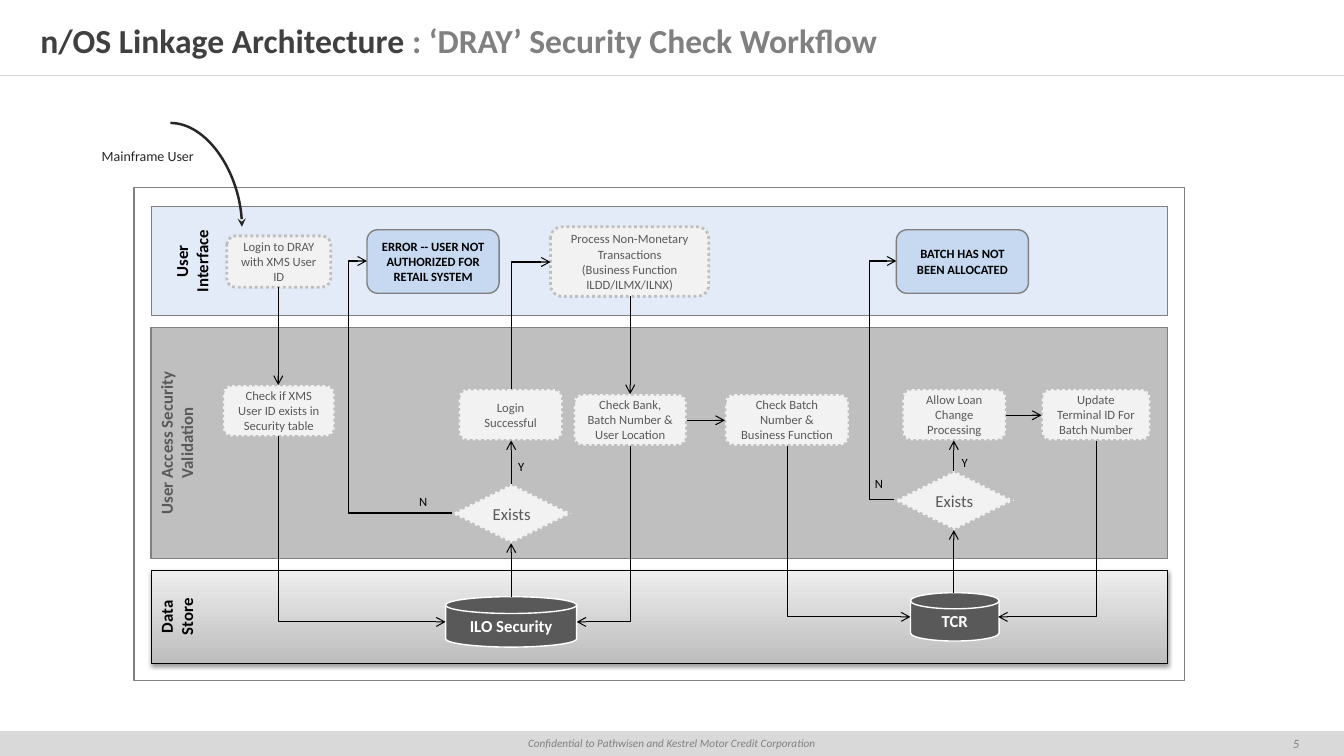
"""Builds the security check workflow slide: three swimlanes, steps, stores and arrows."""
from lxml import etree
from pptx import Presentation
from pptx.dml.color import RGBColor
from pptx.enum.dml import MSO_LINE
from pptx.enum.shapes import MSO_CONNECTOR, MSO_SHAPE
from pptx.enum.text import MSO_ANCHOR, PP_ALIGN
from pptx.oxml.ns import qn
from pptx.util import Inches, Pt

RECT, ROUNDED = MSO_SHAPE.RECTANGLE, MSO_SHAPE.ROUNDED_RECTANGLE
DECISION, DISK = MSO_SHAPE.FLOWCHART_DECISION, MSO_SHAPE.FLOWCHART_MAGNETIC_DISK
STRAIGHT, ELBOW, CURVE = MSO_CONNECTOR.STRAIGHT, MSO_CONNECTOR.ELBOW, MSO_CONNECTOR.CURVE
TOP, MIDDLE = MSO_ANCHOR.TOP, MSO_ANCHOR.MIDDLE
LEFT, CENTER = PP_ALIGN.LEFT, PP_ALIGN.CENTER
DOTTED = MSO_LINE.ROUND_DOT
FONT = "Calibri"
COLORS = {name: RGBColor.from_string(value) for name, value in {
    "black": "000000", "ink": "262626", "title": "404040", "dark": "595959",
    "gray": "808080", "lane": "BFBFBF", "rule": "D9D9D9", "step": "F2F2F2",
    "white": "FFFFFF", "blue": "C6D9F1", "store_low": "BDBDBD", "store_high": "EEEEEE",
}.items()}

prs = Presentation()
prs.slide_width, prs.slide_height = Inches(13.33), Inches(7.5)
slide = prs.slides.add_slide(prs.slide_layouts[6])


def add_box(at, text="", size=9, color="dark", kind=None, fill=None, line=None, width=1,
            bold=False, italic=False, align=CENTER, anchor=MIDDLE, inset=(0.1, 0.05)):
    """Add a preset shape, or a text box when kind is None, with its text."""
    place = [Inches(value) for value in at]
    if kind is None:
        box = slide.shapes.add_textbox(*place)
    else:
        box = slide.shapes.add_shape(kind, *place)
        box.shadow.inherit = False
        if fill:
            box.fill.solid()
            box.fill.fore_color.rgb = COLORS[fill]
        if line:
            box.line.color.rgb = COLORS[line]
            box.line.width = Pt(width)
        else:
            box.line.fill.background()
    frame = box.text_frame
    frame.word_wrap = True
    frame.vertical_anchor = anchor
    frame.margin_left = frame.margin_right = Inches(inset[0])
    frame.margin_top = frame.margin_bottom = Inches(inset[1])
    for index, content in enumerate(text.split("\n") if text else []):
        paragraph = frame.add_paragraph() if index else frame.paragraphs[0]
        paragraph.text = content
        paragraph.alignment = align
        font = paragraph.font
        font.name, font.size, font.bold, font.italic = FONT, Pt(size), bold, italic
        font.color.rgb = COLORS[color]
    return box


def add_line(kind, start, end, color="black", width=0.75, head="arrow", preset=None, adjust=None):
    """Add a connector, optionally with an arrowhead, another preset or a moved bend."""
    link = slide.shapes.add_connector(kind, *[Inches(value) for value in (*start, *end)])
    link.line.color.rgb = COLORS[color]
    link.line.width = Pt(width)
    properties = link._element.spPr
    if head:
        etree.SubElement(link.line._get_or_add_ln(), qn("a:tailEnd"), type=head)
    etree.SubElement(properties, qn("a:effectLst"))
    geometry = properties.find(qn("a:prstGeom"))
    if preset:
        geometry.set("prst", preset)
    if adjust is not None:
        guides = geometry.find(qn("a:avLst"))
        if guides is None:
            guides = etree.SubElement(geometry, qn("a:avLst"))
        etree.SubElement(guides, qn("a:gd"), name="adj1", fmla=f"val {round(adjust * 100000)}")
    return link


add_box((0, 7.25, 13.33, 0.25), "Confidential to Pathwisen and Kestrel Motor Credit Corporation",
        8, "gray", RECT, "rule", italic=True)
add_box((12.5, 7.25, 0.71, 0.25), "5", 9, "gray", italic=True, inset=(0.1, 0.1))
add_line(STRAIGHT, (0, 0.75), (13.33, 0.75), "rule", 0.25, None)

title = add_box((0, 0.16, 13.33, 0.48), "n/OS Linkage Architecture ", 24, "title",
                bold=True, align=LEFT, inset=(0.4, 0.2))
subtitle = title.text_frame.paragraphs[0].add_run()
subtitle.text = ": ‘DRAY’ Security Check Workflow"
subtitle.font.color.rgb = COLORS["gray"]

add_box((1.33, 1.86, 10.42, 4.89), kind=RECT, fill="white", line="gray")

lanes = {}
for name, top, height, color, fill, line, width, inset in [
    ("Data Store", 5.66, 0.92, "black", None, "black", 0.75, (0.1, 0.05)),
    ("User Access Security Validation", 3.25, 2.29, "dark", "lane", "gray", 1.25, (0.1, 0.05)),
    ("User Interface", 2.05, 1.08, "black", "blue", "gray", 1, (0.2, 0.2)),
]:
    lanes[name] = add_box((1.5, top, 10.08, height), name, 12, color, RECT, fill, line, width,
                          bold=True, anchor=TOP, inset=inset)
    lanes[name].text_frame._txBody.bodyPr.set("vert", "vert270")

store_lane = lanes["Data Store"]
store_lane.fill.gradient()
store_lane.fill.gradient_angle = 90
for stop, shade in zip(store_lane.fill.gradient_stops, ("store_low", "store_high")):
    stop.color.rgb = COLORS[shade]
shadow = etree.SubElement(store_lane._element.spPr.find(qn("a:effectLst")), qn("a:outerShdw"),
                          blurRad=str(Pt(3.1)), dist=str(Pt(1.6)), dir="5400000", rotWithShape="0")
shadow_color = etree.SubElement(shadow, qn("a:srgbClr"), val=str(COLORS["black"]))
etree.SubElement(shadow_color, qn("a:alpha"), val="38000")

interface_fill = lanes["User Interface"]._element.spPr.find(qn("a:solidFill"))
etree.SubElement(interface_fill[0], qn("a:alpha"), val="50000")

for at, text in [
    ((2.25, 2.34, 1.03, 0.51), "Login to DRAY with XMS User ID"),
    ((5.46, 2.25, 1.57, 0.69),
     "Process Non-Monetary Transactions\n(Business Function ILDD/ILMX/ILNX)"),
    ((2.21, 3.82, 1.11, 0.51), "Check if XMS User ID exists in Security table"),
    ((4.55, 3.86, 1.03, 0.51), "Login Successful"),
    ((5.69, 3.91, 1.12, 0.51), "Check Bank, Batch Number & User Location"),
    ((7.19, 3.91, 1.23, 0.51), "Check Batch Number & Business Function"),
    ((8.95, 3.86, 1.03, 0.51), "Allow Loan Change Processing"),
    ((10.33, 3.86, 1.08, 0.51), "Update Terminal ID For Batch Number"),
]:
    add_box(at, text, 9, "dark", ROUNDED, "step", "lane", 2).line.dash_style = DOTTED

for left, top in [(4.48, 4.8), (8.87, 4.67)]:
    check = add_box((left, top, 1.19, 0.59), "Exists", 12, "dark", DECISION, "step", "lane", 2)
    check.line.dash_style = DOTTED

for left, text in [(3.64, "ERROR -- USER NOT AUTHORIZED FOR RETAIL SYSTEM"),
                   (8.89, "BATCH HAS NOT BEEN ALLOCATED")]:
    add_box((left, 2.28, 1.31, 0.63), text, 9, "black", ROUNDED, "blue", "gray",
            bold=True, inset=(0.1, 0.1))

for at, text in [((4.42, 5.92, 1.3, 0.5), "ILO Security"), ((9.03, 5.88, 0.88, 0.48), "TCR")]:
    add_box(at, text, 12, "white", DISK, "dark", "white", bold=True)

for start, end in [
    ((2.76, 2.85), (2.76, 3.82)), ((6.25, 2.94), (6.25, 3.91)),
    ((5.07, 5.92), (5.07, 5.39)), ((5.07, 4.8), (5.07, 4.37)),
    ((9.46, 5.88), (9.46, 5.26)), ((9.46, 4.67), (9.46, 4.37)),
    ((6.81, 4.17), (7.19, 4.17)), ((9.98, 4.12), (10.33, 4.12)),
]:
    add_line(STRAIGHT, start, end)

for (x1, y1), (x2, y2) in [
    ((2.76, 4.33), (4.42, 6.17)), ((6.25, 4.42), (5.72, 6.17)),
    ((7.81, 4.42), (9.03, 6.12)), ((10.88, 4.37), (9.9, 6.12)),
    ((5.07, 3.86), (5.46, 2.6)),
]:
    mid_x, mid_y = (x1 + x2) / 2, (y1 + y2) / 2
    half_x, half_y = (y2 - y1) / 2, (x1 - x2) / 2
    corner = add_line(ELBOW, (mid_x - half_x, mid_y - half_y), (mid_x + half_x, mid_y + half_y),
                      preset="bentConnector2")
    corner.rotation = 90

for start, end, bend_x in [((4.48, 5.09), (3.64, 2.59), 3.46), ((8.87, 4.96), (8.89, 2.59), 8.62)]:
    add_line(ELBOW, start, end, adjust=(bend_x - start[0]) / (end[0] - start[0]))

add_line(CURVE, (1.69, 1.22), (2.4, 2.25), "ink", 1.75, "stealth", "curvedConnector2")
add_box((0.84, 1.41, 1.25, 0.28), "Mainframe User", 10, "ink", anchor=TOP)

for left, top, answer in [(4.06, 4.85, "N"), (8.58, 4.67, "N"), (9.44, 4.46, "Y"), (5.04, 4.5, "Y")]:
    add_box((left, top, 0.23, 0.25), answer, 9, "black", align=LEFT, anchor=TOP)

prs.save("out.pptx")
